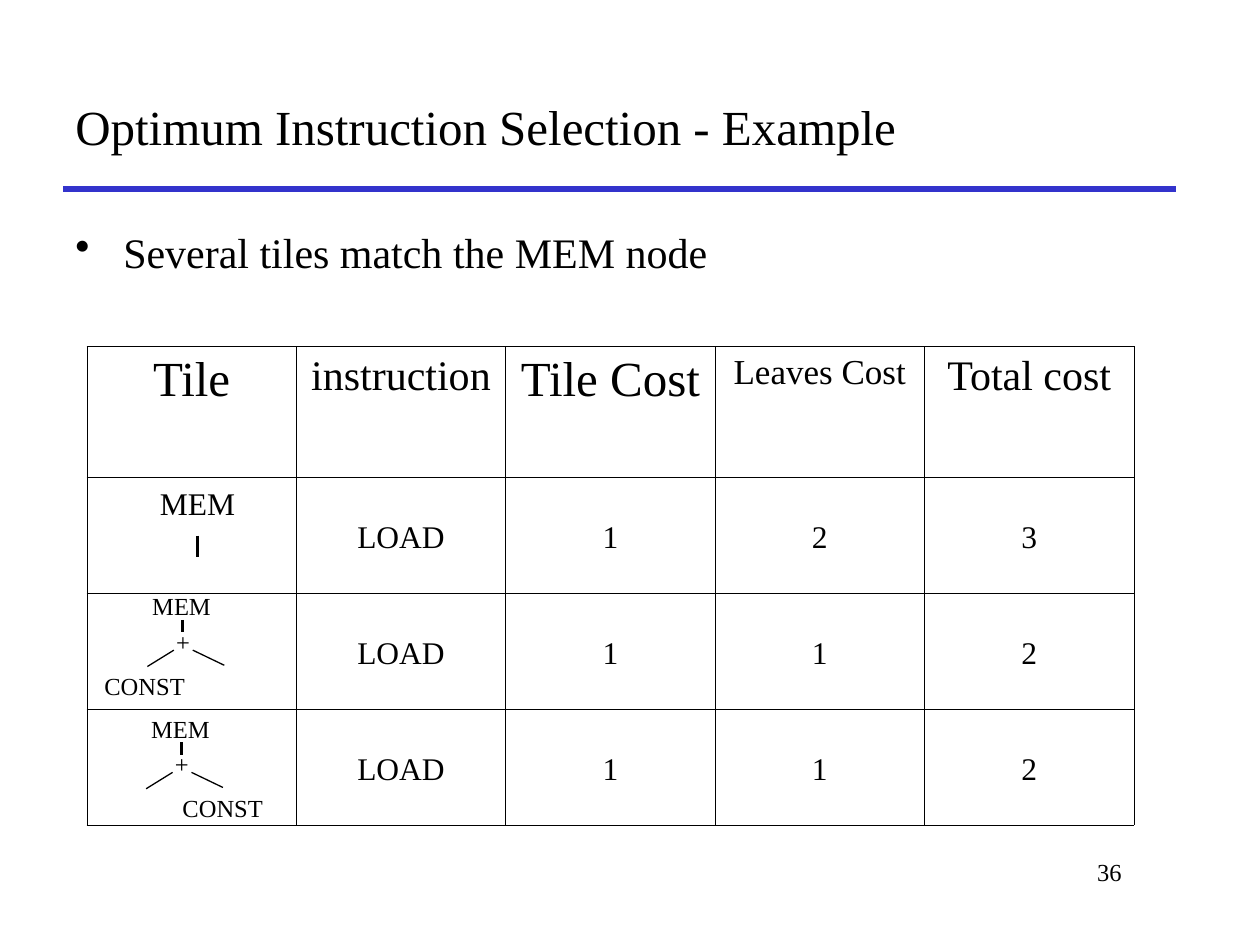
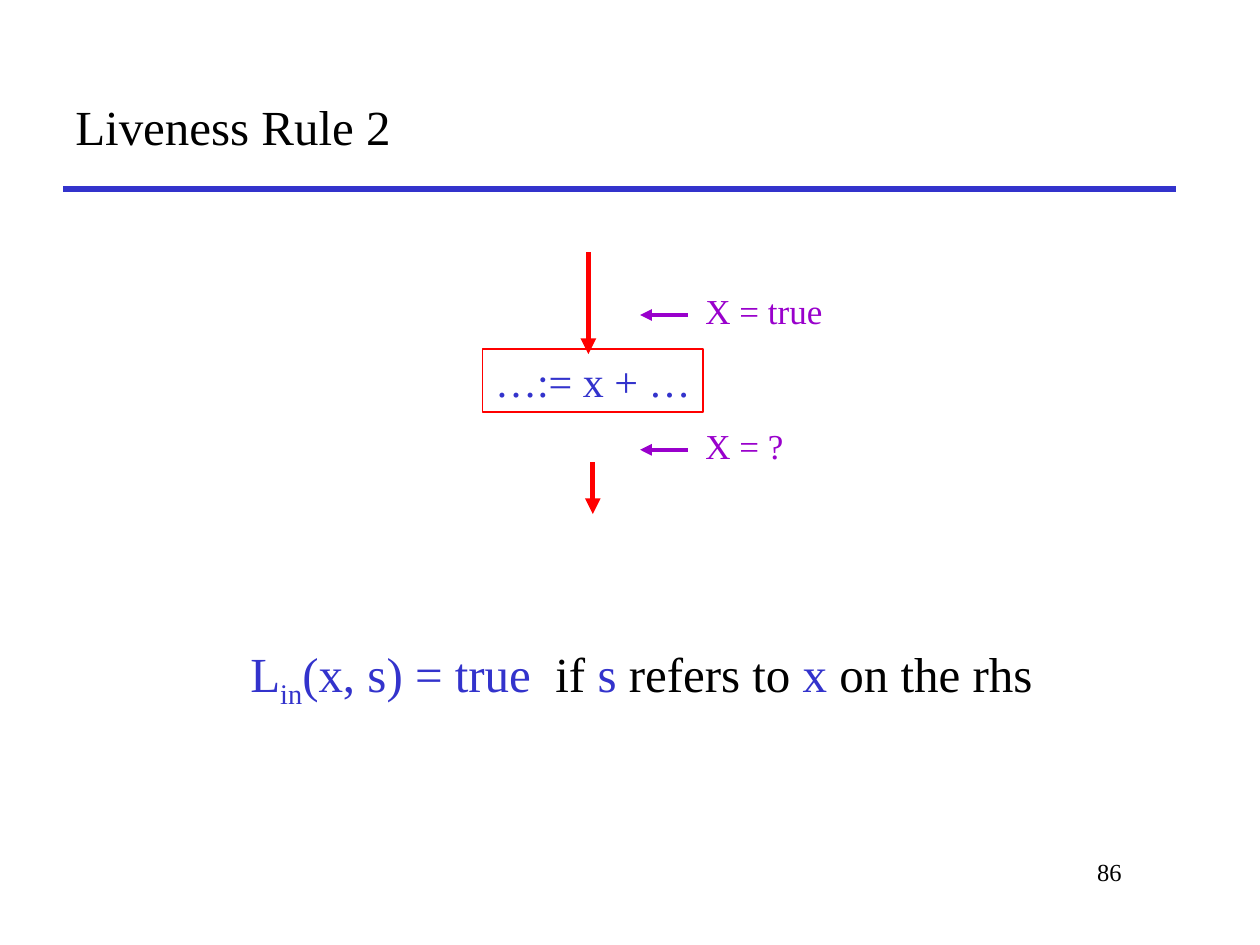
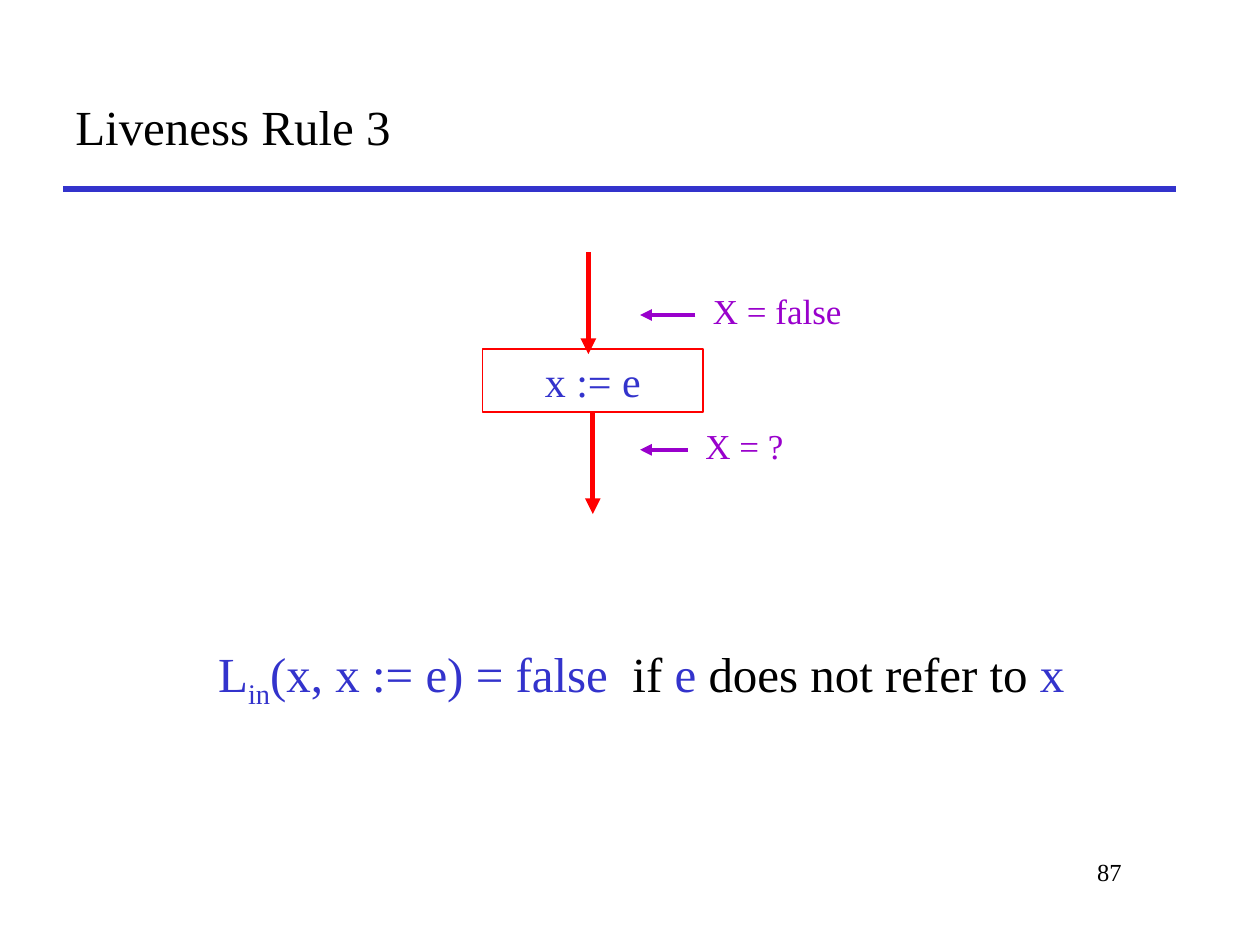
from lxml import etree
from pptx import Presentation
from pptx.dml.color import RGBColor
from pptx.enum.shapes import MSO_CONNECTOR, MSO_SHAPE
from pptx.enum.text import MSO_ANCHOR, PP_ALIGN
from pptx.oxml.ns import qn
from pptx.util import Inches, Pt

STRAIGHT = MSO_CONNECTOR.STRAIGHT
RECTANGLE = MSO_SHAPE.RECTANGLE
TOP, MIDDLE = MSO_ANCHOR.TOP, MSO_ANCHOR.MIDDLE
LEFT, CENTER, RIGHT = PP_ALIGN.LEFT, PP_ALIGN.CENTER, PP_ALIGN.RIGHT
BOTTOM_SIDE = 2

FONT = "Times New Roman"
BLACK, WHITE = "000000", "FFFFFF"
BLUE, RED, PURPLE = "3333CC", "FF0000", "9900CC"


def color(hex_value):
    return RGBColor.from_string(hex_value)


def add_span(para, text, size, ink=BLACK, subscript=False):
    span = para.add_run()
    span.text = text
    span.font.name = FONT
    span.font.size = Pt(size)
    span.font.color.rgb = color(ink)
    if subscript:
        span.font._element.set("baseline", "-25000")


def add_text(page, left, top, width, height, text, size, ink=BLACK,
             align=LEFT, anchor=TOP, wrap=True):
    box = page.shapes.add_textbox(Inches(left), Inches(top), Inches(width), Inches(height))
    frame = box.text_frame
    frame.word_wrap = wrap
    frame.vertical_anchor = anchor
    para = frame.paragraphs[0]
    para.alignment = align
    if text:
        add_span(para, text, size, ink)
    return para


def add_line(page, start, end, ink, weight, arrow=False):
    line = page.shapes.add_connector(
        STRAIGHT, Inches(start[0]), Inches(start[1]), Inches(end[0]), Inches(end[1]))
    line.line.color.rgb = color(ink)
    line.line.width = Pt(weight)
    if arrow:
        etree.SubElement(line.line._get_or_add_ln(), qn("a:tailEnd"), type="triangle")
    etree.SubElement(line._element.spPr, qn("a:effectLst"))
    return line


def add_page(deck, title, number):
    page = deck.slides.add_slide(deck.slide_layouts[6])
    add_line(page, (0.5, 1.5), (9.33, 1.5), BLUE, 3)
    add_text(page, 6.92, 6.75, 2.08, 0.5, number, 14, align=RIGHT)
    add_text(page, 0.5, 0.5, 8.83, 1, title, 28, anchor=MIDDLE)
    return page


def add_bullet(page, left, top, width, height, text):
    para = add_text(page, left, top, width, height, "", 24)
    properties = para._p.get_or_add_pPr()
    properties.set("marL", str(Inches(0.38)))
    properties.set("indent", str(Inches(-0.38)))
    etree.SubElement(properties, qn("a:buChar"), char="•")
    add_span(para, text, 24)


def set_borders(cell):
    properties = cell._tc.get_or_add_tcPr()
    for side in ("lnL", "lnR", "lnT", "lnB"):
        border = etree.SubElement(properties, qn(f"a:{side}"), w=str(Pt(0.45)))
        fill = etree.SubElement(border, qn("a:solidFill"))
        etree.SubElement(fill, qn("a:srgbClr"), val=BLACK)


def add_cost_table(page, left, top, width, headings, rows):
    heights = [1.04] + [0.92] * len(rows)
    table = page.shapes.add_table(
        len(heights), len(headings), Inches(left), Inches(top),
        Inches(width), Inches(sum(heights))).table
    table.first_row = table.horz_banding = False
    for column in table.columns:
        column.width = Inches(width / len(headings))
    lines = [headings] + [[(text, 18) for text in row] for row in rows]
    for row_index, line in enumerate(lines):
        table.rows[row_index].height = Inches(heights[row_index])
        for column_index, (text, size) in enumerate(line):
            cell = table.cell(row_index, column_index)
            set_borders(cell)
            cell.fill.solid()
            cell.fill.fore_color.rgb = color(WHITE)
            cell.margin_top = Inches(0.34 if row_index else 0.05)
            if text:
                para = cell.text_frame.paragraphs[0]
                para.alignment = CENTER
                add_span(para, text, size)


def add_node(page, left, top, width, height, text, size):
    para = add_text(page, left, top, width, height, text, size, wrap=False)
    para.line_spacing = 0.9


def add_memory_tile(page, left, top):
    add_node(page, left, top, 0.82, 0.37, "MEM", 18)
    add_line(page, (left + 0.4, top + 0.42), (left + 0.4, top + 0.59), BLACK, 1.5)


def add_sum_tile(page, left, top, constant_offset):
    add_node(page, left, top, 0.69, 0.31, "MEM", 14)
    add_node(page, left + 0.19, top + 0.28, 0.31, 0.31, "+", 14)
    add_node(page, left + constant_offset, top + 0.63, 0.84, 0.31, "CONST", 14)
    branches = [((0.34, 0.25), (0.34, 0.35), 1.5),
                ((0.27, 0.49), (0.06, 0.62), 0.75),
                ((0.42, 0.49), (0.67, 0.61), 0.75)]
    for start, end, weight in branches:
        add_line(page, (left + start[0], top + start[1]),
                 (left + end[0], top + end[1]), BLACK, weight)


def add_statement(page, left, top, width, height, text):
    box = page.shapes.add_shape(
        RECTANGLE, Inches(left), Inches(top), Inches(width), Inches(height))
    box.shadow.inherit = False
    box.fill.background()
    box.line.color.rgb = color(RED)
    box.line.width = Pt(0.75)
    box.text_frame.vertical_anchor = TOP
    para = box.text_frame.paragraphs[0]
    para.alignment = CENTER
    add_span(para, text, 24, BLUE)
    return box


def add_fact(page, left, top, width, text, label_offset):
    label_left = left + label_offset
    add_text(page, label_left, top, width, 0.44, text, 20, PURPLE)
    add_line(page, (label_left - 0.04, top + 0.25), (left, top + 0.25), PURPLE, 2.25, arrow=True)


def add_flow(page, left, top, statement, fact, fact_width, fact_offset, joined):
    box = add_statement(page, left, top + 0.77, 1.75, 0.5, statement)
    add_fact(page, left + 1.25, top + 0.25, fact_width, fact, fact_offset)
    add_fact(page, left + 1.25, top + 1.32, 1.33, "X = ?", 0.42)
    add_line(page, (left + 0.84, top), (left + 0.84, top + 0.81), RED, 3, arrow=True)
    middle = left + 0.875
    leaving = add_line(page, (middle, top + 1.67), (middle, top + 2.08), RED, 3, arrow=True)
    if joined:
        leaving.begin_connect(box, BOTTOM_SIDE)


def add_rule(page, left, top, width, height, result, condition):
    para = add_text(page, left, top, width, height, "", 28, align=CENTER)
    add_span(para, "L", 28, BLUE)
    add_span(para, "in", 28, BLUE, subscript=True)
    add_span(para, result, 28, BLUE)
    for text, ink in condition:
        add_span(para, text, 28, ink)


def build_selection_page(deck):
    page = add_page(deck, "Optimum Instruction Selection - Example", "36")
    add_bullet(page, 0.5, 1.75, 9.08, 0.6, "Several tiles match the MEM node")
    headings = [("Tile", 28), ("instruction", 24), ("Tile Cost", 28),
                ("Leaves Cost", 20), ("Total cost", 24)]
    rows = [("", "LOAD", "1", "2", "3"),
            ("", "LOAD", "1", "1", "2"),
            ("", "LOAD", "1", "1", "2")]
    add_cost_table(page, 0.69, 2.75, 8.31, headings, rows)
    add_memory_tile(page, 1.17, 3.83)
    add_sum_tile(page, 1.11, 4.67, -0.38)
    add_sum_tile(page, 1.1, 5.64, 0.25)


def build_liveness_page(deck, title, number, flow, result, condition):
    page = add_page(deck, title, number)
    add_rule(page, 0.55, 5.06, 9.08, 1.5, result, condition)
    add_flow(page, 3.83, 2, *flow)


def main():
    deck = Presentation()
    deck.slide_width, deck.slide_height = Inches(10), Inches(7.5)
    build_selection_page(deck)
    build_liveness_page(
        deck, "Liveness Rule 2", "86",
        ("…:= x + …", "X = true", 1.33, 0.42, False), "(x, s) = true ",
        [(" if ", BLACK), ("s", BLUE), (" refers to ", BLACK),
         ("x", BLUE), (" on the rhs", BLACK)])
    build_liveness_page(
        deck, "Liveness Rule 3", "87",
        ("x := e", "X = false", 1.52, 0.48, True), "(x, x := e) = false ",
        [(" if ", BLACK), ("e ", BLUE), ("does not refer to", BLACK), (" x", BLUE)])
    deck.save("out.pptx")


if __name__ == "__main__":
    main()
